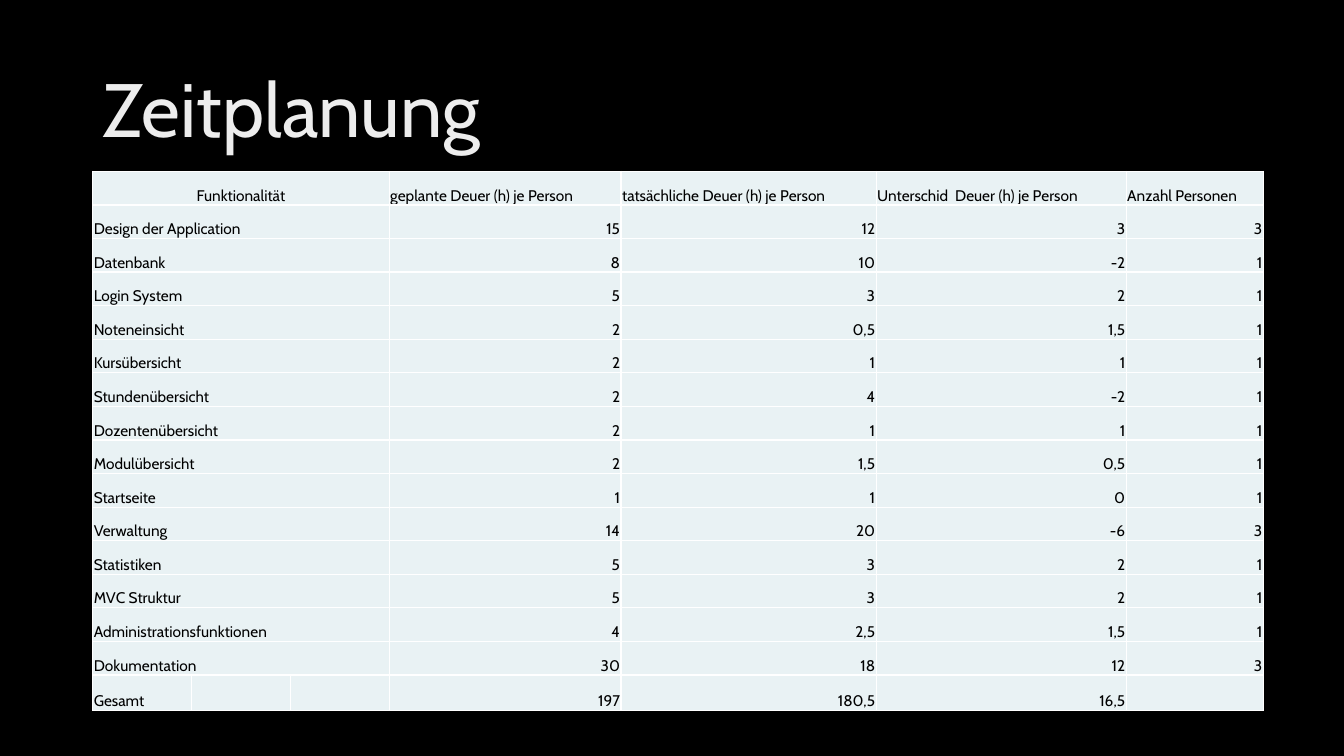
"""Build the Zeitplanung slide: a title above a table of planned and actual hours."""
from dataclasses import dataclass

from lxml import etree
from pptx import Presentation, util as u
from pptx.dml.color import RGBColor
from pptx.enum import text
from pptx.oxml import ns

TITLE = "Zeitplanung"
HEADER = ("Funktionalität", "geplante Deuer (h) je Person", "tatsächliche Deuer (h) je Person",
          "Unterschid  Deuer (h) je Person", "Anzahl Personen")
TASKS = [
    ("Design der Application", "15", "12", "3", "3"),
    ("Datenbank", "8", "10", "-2", "1"),
    ("Login System", "5", "3", "2", "1"),
    ("Noteneinsicht", "2", "0,5", "1,5", "1"),
    ("Kursübersicht", "2", "1", "1", "1"),
    ("Stundenübersicht", "2", "4", "-2", "1"),
    ("Dozentenübersicht", "2", "1", "1", "1"),
    ("Modulübersicht", "2", "1,5", "0,5", "1"),
    ("Startseite", "1", "1", "0", "1"),
    ("Verwaltung", "14", "20", "-6", "3"),
    ("Statistiken", "5", "3", "2", "1"),
    ("MVC Struktur", "5", "3", "2", "1"),
    ("Administrationsfunktionen", "4", "2,5", "1,5", "1"),
    ("Dokumentation", "30", "18", "12", "3"),
]
TOTAL = ("Gesamt", "197", "180,5", "16,5", "")

SLIDE_WIDTH, SLIDE_HEIGHT = 13.33, 7.5
LEFT = 0.92
TITLE_TOP, TITLE_WIDTH, TITLE_HEIGHT = 0.4, 11.5, 1.45
TABLE_TOP, TABLE_HEIGHT, TOTAL_HEIGHT = 1.7, 5.35, 0.35
NAME_COLUMNS = 3
COLUMN_WIDTHS = [0.98] * NAME_COLUMNS + [2.3, 2.53, 2.48, 1.36]


@dataclass(frozen=True)
class Theme:
    font: str = "Cabin"
    background: str = "000000"
    title: str = "EDEDED"
    body: str = "000000"
    cell: str = "E9F2F4"
    border: str = "FFFFFF"
    title_size: int = 54
    body_size: int = 11
    border_width: int = 1


THEME = Theme()


def style_runs(paragraph, size, color):
    for run in paragraph.runs:
        run.font.name = THEME.font
        run.font.size = u.Pt(size)
        run.font.color.rgb = RGBColor.from_string(color)


def add_title(slide):
    box = slide.shapes.add_textbox(u.Inches(LEFT), u.Inches(TITLE_TOP),
                                   u.Inches(TITLE_WIDTH), u.Inches(TITLE_HEIGHT))
    frame = box.text_frame
    frame.word_wrap = True
    frame.vertical_anchor = text.MSO_ANCHOR.MIDDLE
    frame.text = TITLE
    frame.paragraphs[0].line_spacing = 0.9
    style_runs(frame.paragraphs[0], THEME.title_size, THEME.title)


def add_borders(cell):
    properties = cell._tc.get_or_add_tcPr()
    for side in ("a:lnL", "a:lnR", "a:lnT", "a:lnB"):
        line = etree.SubElement(properties, ns.qn(side), w=str(u.Pt(THEME.border_width)))
        fill = etree.SubElement(line, ns.qn("a:solidFill"))
        etree.SubElement(fill, ns.qn("a:srgbClr"), val=THEME.border)


def format_cell(cell):
    add_borders(cell)
    cell.fill.solid()
    cell.fill.fore_color.rgb = RGBColor.from_string(THEME.cell)
    cell.vertical_anchor = text.MSO_ANCHOR.BOTTOM
    cell.margin_left = cell.margin_right = cell.margin_top = u.Inches(0.01)
    cell.margin_bottom = 0


def alignment(row, column):
    if row == 0:
        return text.PP_ALIGN.LEFT if column else text.PP_ALIGN.CENTER
    return text.PP_ALIGN.RIGHT if column else text.PP_ALIGN.LEFT


def add_schedule(slide):
    rows = [HEADER, *TASKS, TOTAL]
    last = len(rows) - 1
    frame = slide.shapes.add_table(len(rows), len(COLUMN_WIDTHS), u.Inches(LEFT), u.Inches(TABLE_TOP),
                                   u.Inches(sum(COLUMN_WIDTHS)), u.Inches(TABLE_HEIGHT))
    table = frame.table
    table.first_row = table.horz_banding = False
    for column, width in zip(table.columns, COLUMN_WIDTHS):
        column.width = u.Inches(width)
    for row in table.rows:
        row.height = u.Inches((TABLE_HEIGHT - TOTAL_HEIGHT) / last)
    table.rows[last].height = u.Inches(TOTAL_HEIGHT)
    for cell in table.iter_cells():
        format_cell(cell)
    for row, values in enumerate(rows):
        if row < last:
            table.cell(row, 0).merge(table.cell(row, NAME_COLUMNS - 1))
        for column, value in enumerate(values):
            if not value:
                continue
            cell = table.cell(row, column + NAME_COLUMNS - 1 if column else 0)
            cell.text_frame.text = value
            paragraph = cell.text_frame.paragraphs[0]
            paragraph.alignment = alignment(row, column)
            style_runs(paragraph, THEME.body_size, THEME.body)


def main():
    presentation = Presentation()
    presentation.slide_width = u.Inches(SLIDE_WIDTH)
    presentation.slide_height = u.Inches(SLIDE_HEIGHT)
    slide = presentation.slides.add_slide(presentation.slide_layouts[6])
    slide.background.fill.solid()
    slide.background.fill.fore_color.rgb = RGBColor.from_string(THEME.background)
    add_title(slide)
    add_schedule(slide)
    presentation.save("out.pptx")


if __name__ == "__main__":
    main()
